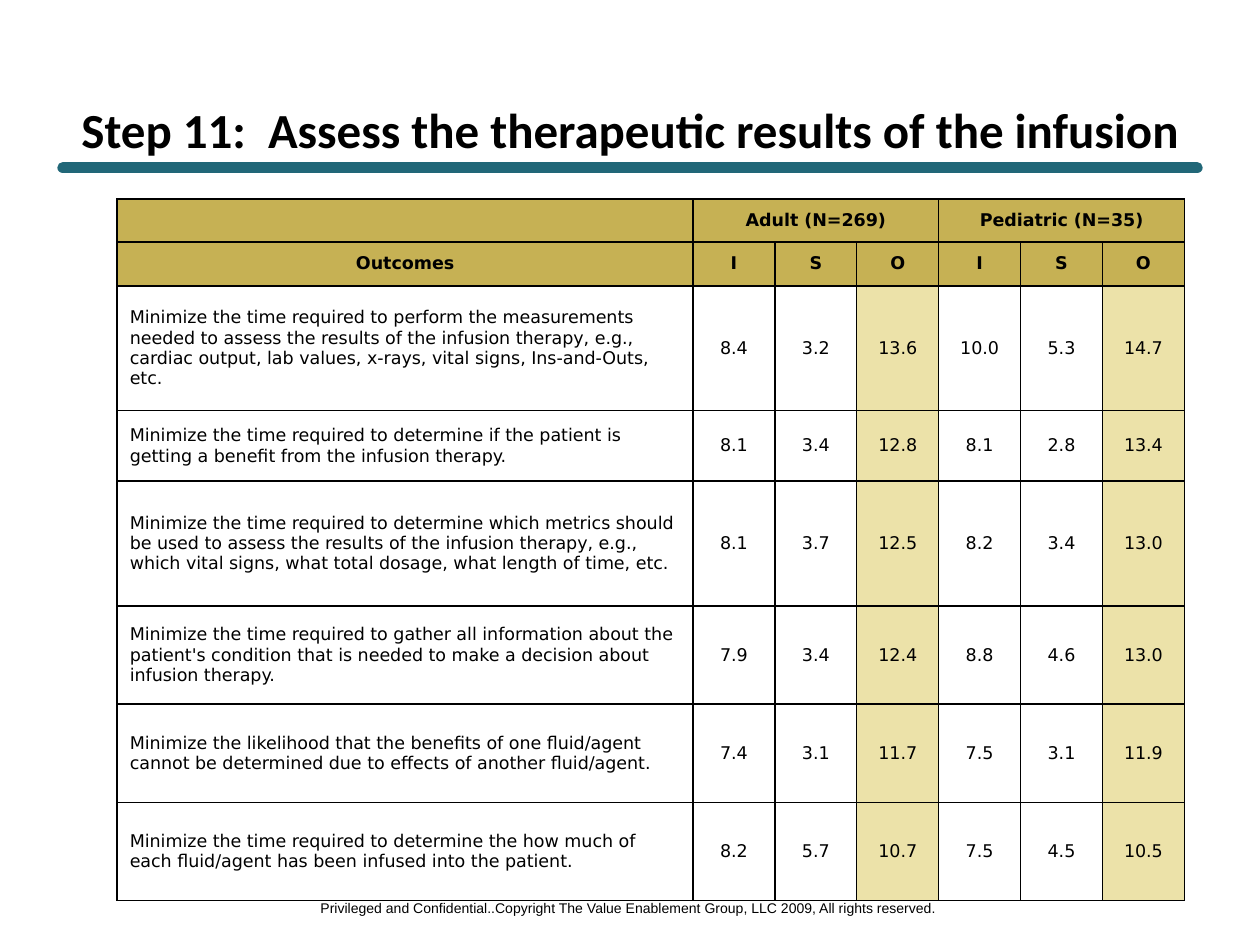
from lxml import etree
from pptx import Presentation
from pptx import util as u
from pptx.dml.color import RGBColor
from pptx.enum import shapes, text
from pptx.oxml import ns

COLORS = {"black": "000000", "white": "FFFFFF", "rule": "216778",
          "header": "C6B154", "score": "ECE2A9"}
OUTCOMES = [
    ("Minimize the time required to perform the measurements needed to assess the results of the "
     "infusion therapy, e.g., cardiac output, lab values, x-rays, vital signs, Ins-and-Outs, etc.",
     "8.4", "3.2", "13.6", "10.0", "5.3", "14.7"),
    ("Minimize the time required to determine if the patient is getting a benefit from the "
     "infusion therapy.",
     "8.1", "3.4", "12.8", "8.1", "2.8", "13.4"),
    ("Minimize the time required to determine which metrics should be used to assess the results "
     "of the infusion therapy, e.g., which vital signs, what total dosage, what length of time, etc.",
     "8.1", "3.7", "12.5", "8.2", "3.4", "13.0"),
    ("Minimize the time required to gather all information about the patient's condition that is "
     "needed to make a decision about infusion therapy.",
     "7.9", "3.4", "12.4", "8.8", "4.6", "13.0"),
    ("Minimize the likelihood that the benefits of one fluid/agent cannot be determined due to "
     "effects of another fluid/agent.",
     "7.4", "3.1", "11.7", "7.5", "3.1", "11.9"),
    ("Minimize the time required to determine the how much of each fluid/agent has been infused "
     "into the patient.",
     "8.2", "5.7", "10.7", "7.5", "4.5", "10.5"),
]
ROWS = [("", "Adult (N=269)", "", "", "Pediatric (N=35)", "", ""),
        ("Outcomes", "I", "S", "O", "I", "S", "O")] + OUTCOMES
ROW_HEIGHTS = [0.34, 0.35, 0.99, 0.56, 0.99, 0.78, 0.78, 0.78]
COLUMN_WIDTHS = [4.57] + [0.65] * 6


def write(frame, words, font, size, bold=False, align=text.PP_ALIGN.CENTER):
    frame.text = words
    para = frame.paragraphs[0]
    para.alignment = align
    # The end mark sets the line height of an empty cell
    para._p.get_or_add_endParaRPr().set("sz", str(size * 100))
    for span in para.runs:
        span.font.name = font
        span.font.size = u.Pt(size)
        span.font.bold = bold
        span.font.color.rgb = RGBColor.from_string(COLORS["black"])


def add_borders(cell):
    props = cell._tc.get_or_add_tcPr()
    for index, side in enumerate(("lnL", "lnR", "lnT", "lnB")):
        border = etree.Element(ns.qn("a:" + side), w=str(u.Pt(1)))
        fill = etree.SubElement(border, ns.qn("a:solidFill"))
        etree.SubElement(fill, ns.qn("a:srgbClr"), val=COLORS["black"])
        props.insert(index, border)


deck = Presentation()
deck.slide_width, deck.slide_height = u.Inches(10), u.Inches(7.5)
page = deck.slides.add_slide(deck.slide_layouts[6])

# Rule under the title
rule = page.shapes.add_connector(shapes.MSO_CONNECTOR.STRAIGHT, u.Inches(0.5), u.Inches(1.33),
                                 u.Inches(9.5), u.Inches(1.33))
rule.line.color.rgb = RGBColor.from_string(COLORS["rule"])
rule.line.width = u.Pt(6.5)
rule.line._get_or_add_ln().set("cap", "rnd")
etree.SubElement(rule._element.spPr, ns.qn("a:effectLst"))

# Footer
footer = page.shapes.add_textbox(u.Inches(2.41), u.Inches(7.09), u.Inches(5.16), u.Inches(0.24))
footer.text_frame.word_wrap = False
write(footer.text_frame, "Privileged and Confidential..Copyright The Value Enablement Group, "
      "LLC 2009, All rights reserved.", "Arial", 8)

# Title
title = page.shapes.add_textbox(u.Inches(0.5), u.Inches(0.83), u.Inches(9), u.Inches(0.38))
title.text_frame.word_wrap = True
title.text_frame.vertical_anchor = text.MSO_ANCHOR.MIDDLE
write(title.text_frame, "Step 11:  Assess the therapeutic results of the infusion",
      "Calibri", 28, bold=True)

# Outcomes table
table = page.shapes.add_table(len(ROWS), len(COLUMN_WIDTHS), u.Inches(0.93), u.Inches(1.58),
                              u.Inches(sum(COLUMN_WIDTHS)), u.Inches(sum(ROW_HEIGHTS))).table
for column, width in zip(table.columns, COLUMN_WIDTHS):
    column.width = u.Inches(width)
for row, height in zip(table.rows, ROW_HEIGHTS):
    row.height = u.Inches(height)
for first in (1, 4):
    table.cell(0, first).merge(table.cell(0, first + 2))

for r, values in enumerate(ROWS):
    for c, value in enumerate(values):
        cell = table.cell(r, c)
        is_header = r < 2
        is_score = c in (3, 6)
        color = "header" if is_header else "score" if is_score else "white"
        cell.fill.solid()
        cell.fill.fore_color.rgb = RGBColor.from_string(COLORS[color])
        add_borders(cell)
        cell.vertical_anchor = text.MSO_ANCHOR.MIDDLE
        align = text.PP_ALIGN.CENTER if is_header or c else text.PP_ALIGN.LEFT
        write(cell.text_frame, value, "DejaVu Sans", 10, is_header, align)

deck.save("out.pptx")
